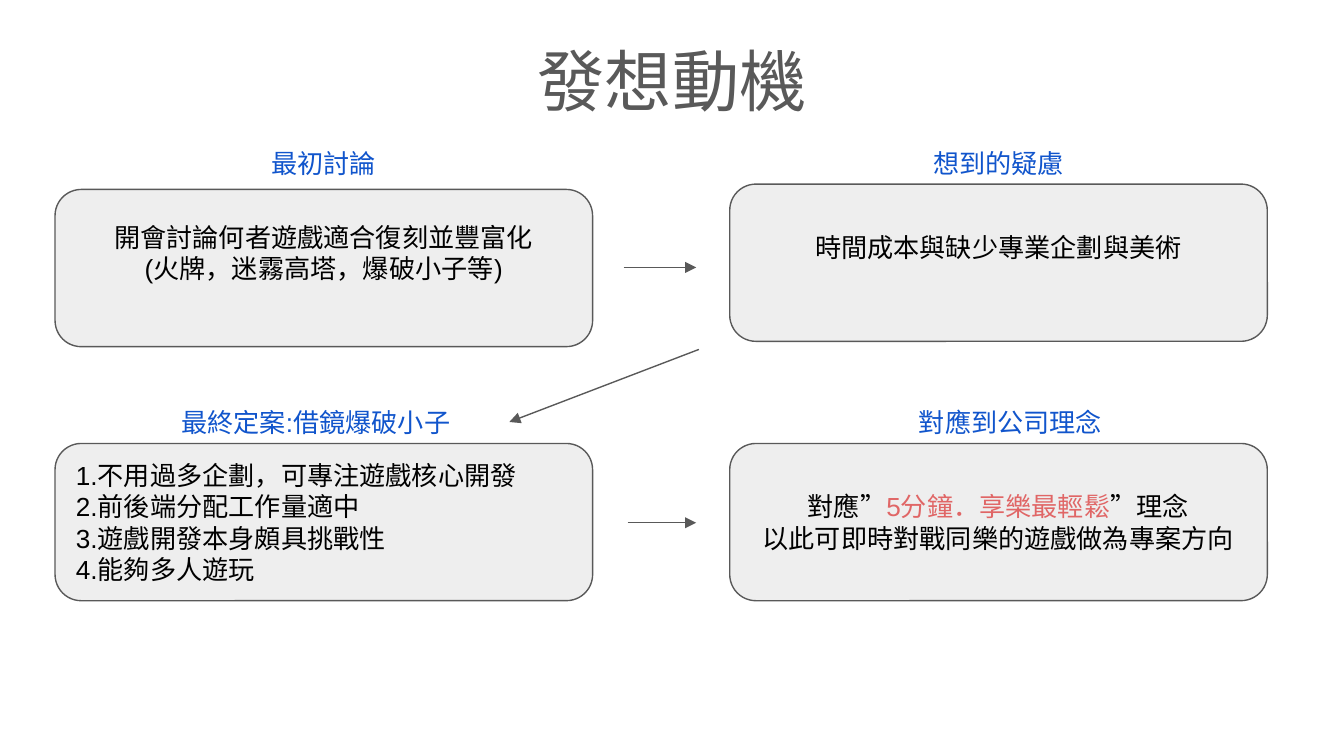
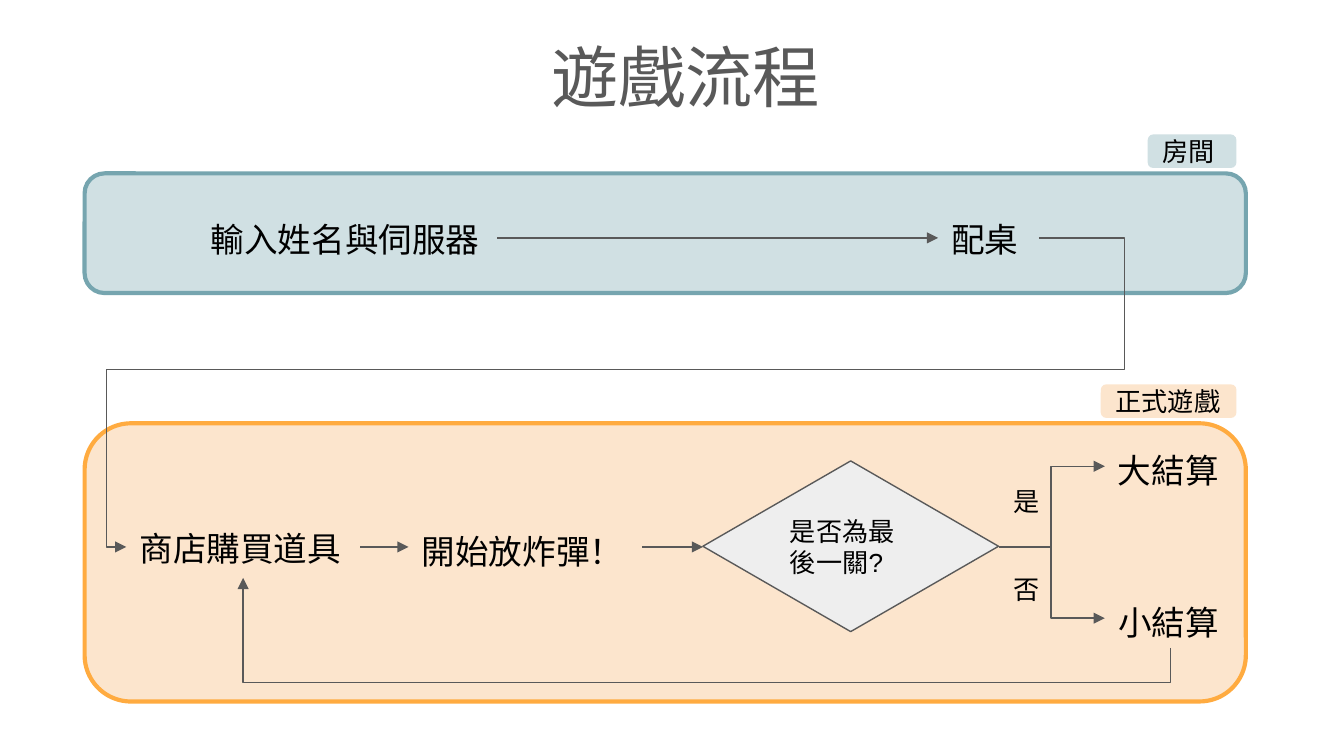
from lxml.etree import SubElement
from pptx import Presentation
from pptx.dml.color import RGBColor
from pptx.enum.shapes import MSO_CONNECTOR, MSO_SHAPE
from pptx.enum.text import MSO_ANCHOR, PP_ALIGN
from pptx.oxml.ns import qn
from pptx.util import Inches, Pt

FONT = "Arial"
INK, GREY, PANEL = "000000", "595959", "EEEEEE"
BLUE, RED = "1155CC", "E06666"
TEAL, TEAL_EDGE = "D0E0E3", "76A5AF"
PEACH, ORANGE = "FCE5CD", "FFAB40"
PADDING = 0.1
BLANK_LAYOUT = 6


def color(hex_value):
    """Turn a hex string into an RGB colour."""
    return RGBColor.from_string(hex_value)


def write(shape, lines, size, ink=INK, align=PP_ALIGN.LEFT,
          anchor=MSO_ANCHOR.TOP, bottom=PADDING):
    """Fill a shape with lines, each a string or a list of (text, colour) runs."""
    frame = shape.text_frame
    frame_format = {
        "word_wrap": True, "vertical_anchor": anchor,
        "margin_left": Inches(PADDING), "margin_right": Inches(PADDING),
        "margin_top": Inches(PADDING), "margin_bottom": Inches(bottom),
    }
    for key, value in frame_format.items():
        setattr(frame, key, value)
    for index, line in enumerate(lines):
        paragraph = frame.paragraphs[0] if index == 0 else frame.add_paragraph()
        paragraph.alignment = align
        for words, run_ink in [(line, ink)] if isinstance(line, str) else line:
            run = paragraph.add_run()
            run.text = words
            for key, value in {"name": FONT, "size": Pt(size)}.items():
                setattr(run.font, key, value)
            run.font.color.rgb = color(run_ink)


def add_words(slide, place, words, size, **style):
    """Add a text box holding one line."""
    box = slide.shapes.add_textbox(*map(Inches, place))
    write(box, [words], size, **style)


def add_title(slide, left, top, words):
    """Add the slide title, resting on the bottom of its frame."""
    add_words(slide, (left, top, 9.32, 2.24), words, 36, ink=GREY,
              align=PP_ALIGN.CENTER, anchor=MSO_ANCHOR.BOTTOM)


def add_panel(slide, place, fill, edge=None, weight=0.75,
              kind=MSO_SHAPE.ROUNDED_RECTANGLE, lines=(), **style):
    """Add a filled shape with an optional outline and 14 point text."""
    panel = slide.shapes.add_shape(kind, *map(Inches, place))
    panel.shadow.inherit = False
    panel.fill.solid()
    panel.fill.fore_color.rgb = color(fill)
    if edge:
        panel.line.color.rgb = color(edge)
        panel.line.width = Pt(weight)
    else:
        panel.line.fill.background()
    write(panel, lines, 14, anchor=MSO_ANCHOR.MIDDLE, **style)


def add_arrow(slide, start, end, lanes=(), upright=False):
    """Add an arrow; lanes are the x and y in turn of its inner segments."""
    bends = []
    for number, lane in enumerate(lanes):
        axis = (number + upright) % 2
        bends.append((lane - start[axis]) / (end[axis] - start[axis]))
    if upright:
        mid_x, mid_y = (start[0] + end[0]) / 2, (start[1] + end[1]) / 2
        start, end = [(mid_x + y - mid_y, mid_y - x + mid_x)
                      for x, y in (start, end)]
    kind = MSO_CONNECTOR.ELBOW if bends else MSO_CONNECTOR.STRAIGHT
    arrow = slide.shapes.add_connector(kind, *map(Inches, (*start, *end)))
    arrow.line.color.rgb = color(GREY)
    arrow.line.width = Pt(0.75)
    properties = arrow._element.spPr
    SubElement(properties.find(qn("a:ln")), qn("a:tailEnd"), type="triangle")
    SubElement(properties, qn("a:effectLst"))
    if upright:
        properties.find(qn("a:xfrm")).set("rot", "5400000")
    if bends:
        geometry = properties.find(qn("a:prstGeom"))
        geometry.set("prst", f"bentConnector{len(bends) + 2}")
        adjustments = geometry.find(qn("a:avLst"))
        for number, bend in enumerate(bends, 1):
            SubElement(adjustments, qn("a:gd"), name=f"adj{number}",
                       fmla=f"val {round(bend * 100000)}")


def build_motivation(slide):
    """Draw the four steps from first discussion to company idea."""
    add_title(slide, 0.34, -1.25, "發想動機")
    left, right, lower = 0.41, 5.43, 3.3
    center = PP_ALIGN.CENTER
    steps = [
        (left, 1.41, ["開會討論何者遊戲適合復刻並豐富化",
                      "(火牌，迷霧高塔，爆破小子等)"], center, 0.33),
        (right, 1.37, ["時間成本與缺少專業企劃與美術"], center, 0.33),
        (left, lower, ["1.不用過多企劃，可專注遊戲核心開發", "2.前後端分配工作量適中",
                       "3.遊戲開發本身頗具挑戰性", "4.能夠多人遊玩"],
         PP_ALIGN.LEFT, PADDING),
        (right, lower, [[("對應”", INK), ("5分鐘．享樂最輕鬆", RED), ("”理念", INK)],
                        "以此可即時對戰同樂的遊戲做為專案方向"], center, PADDING),
    ]
    for x, y, lines, align, bottom in steps:
        add_panel(slide, (x, y, 4, 1.17), PANEL, GREY, lines=lines,
                  align=align, bottom=bottom)
    headings = [
        ((1.11, 1, 2.6, 0.28), "最初討論"),
        ((6.3, 1, 2.26, 0.28), "想到的疑慮"),
        ((1.2, 2.92, 2.3, 0.22), "最終定案:借鏡爆破小子"),
        ((6.37, 2.92, 2.3, 0.22), "對應到公司理念"),
    ]
    for place, words in headings:
        add_words(slide, place, words, 14, ink=BLUE, align=center)
    for start, end in [((4.64, 1.99), (5.18, 1.99)),
                       ((5.2, 2.6), (3.79, 3.14)),
                       ((4.67, 3.89), (5.18, 3.89))]:
        add_arrow(slide, start, end)


def build_flow(slide):
    """Draw the game flow through the room and the match."""
    add_panel(slide, (0.63, 3.15, 8.64, 2.07), PEACH, ORANGE, 2.25)
    add_panel(slide, (0.63, 1.29, 8.64, 0.89), TEAL, TEAL_EDGE, 2.25)
    add_title(slide, 0.44, -1.28, "遊戲流程")
    stages = [
        ((1.47, 1.53, 2.23, 0.47), "輸入姓名與伺服器"),
        ((6.98, 1.53, 0.74, 0.47), "配桌"),
        ((0.94, 3.83, 1.74, 0.47), "商店購買道具"),
        ((3.04, 3.85, 1.74, 0.44), "開始放炸彈！"),
        ((8.22, 3.25, 1.13, 0.44), "大結算"),
        ((8.22, 4.38, 0.98, 0.44), "小結算"),
    ]
    for place, words in stages:
        add_words(slide, place, words, 18)
    add_panel(slide, (5.23, 3.43, 2.2, 1.27), PANEL, GREY,
              kind=MSO_SHAPE.FLOWCHART_DECISION, lines=["是否為最後一關?"])
    for top, answer in [(3.51, "是"), (4.16, "否")]:
        add_words(slide, (7.44, top, 0.45, 0.44), answer, 14,
                  anchor=MSO_ANCHOR.MIDDLE)
    room_y, match_y = 1.77, 4.07
    add_arrow(slide, (3.7, room_y), (6.98, room_y))
    for start_x, end_x in [(2.68, 3.04), (4.78, 5.23)]:
        add_arrow(slide, (start_x, match_y), (end_x, match_y))
    for result_y in (3.47, 4.6):
        add_arrow(slide, (7.43, match_y), (8.22, result_y), [7.82])
    add_arrow(slide, (8.71, 4.82), (1.81, 4.3), [5.08], upright=True)
    add_arrow(slide, (7.73, room_y), (0.94, match_y), [8.37, 2.75, 0.79])
    for left, top, width, fill, phase in [(8.54, 1, 0.66, TEAL, "房間"),
                                          (8.19, 2.86, 1.01, PEACH, "正式遊戲")]:
        add_panel(slide, (left, top, width, 0.25), fill, lines=[phase])


def main():
    """Build both slides and save the deck."""
    deck = Presentation()
    deck.slide_width = Inches(10)
    deck.slide_height = deck.slide_width * 9 // 16
    for build in (build_motivation, build_flow):
        build(deck.slides.add_slide(deck.slide_layouts[BLANK_LAYOUT]))
    deck.save("out.pptx")


if __name__ == "__main__":
    main()
